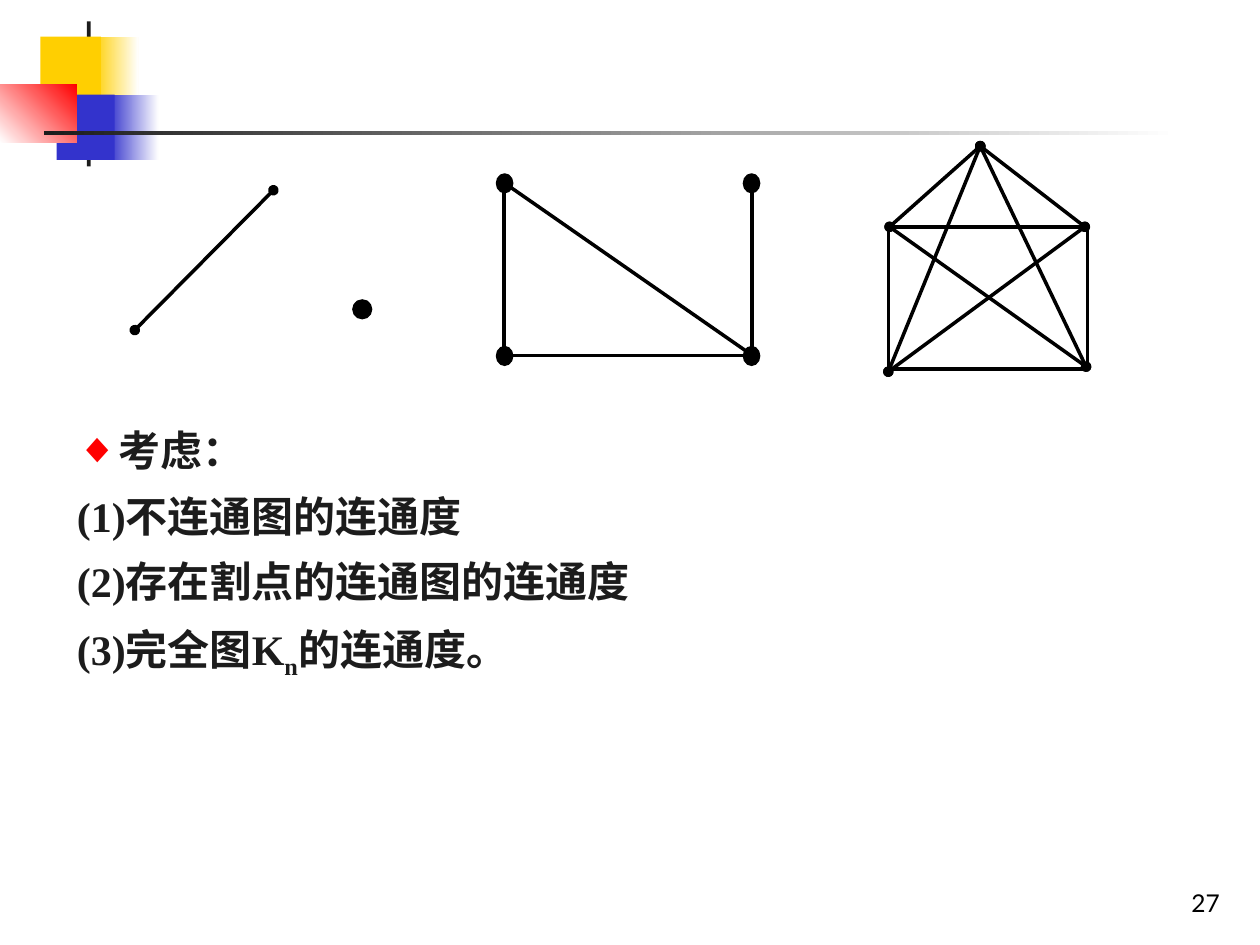
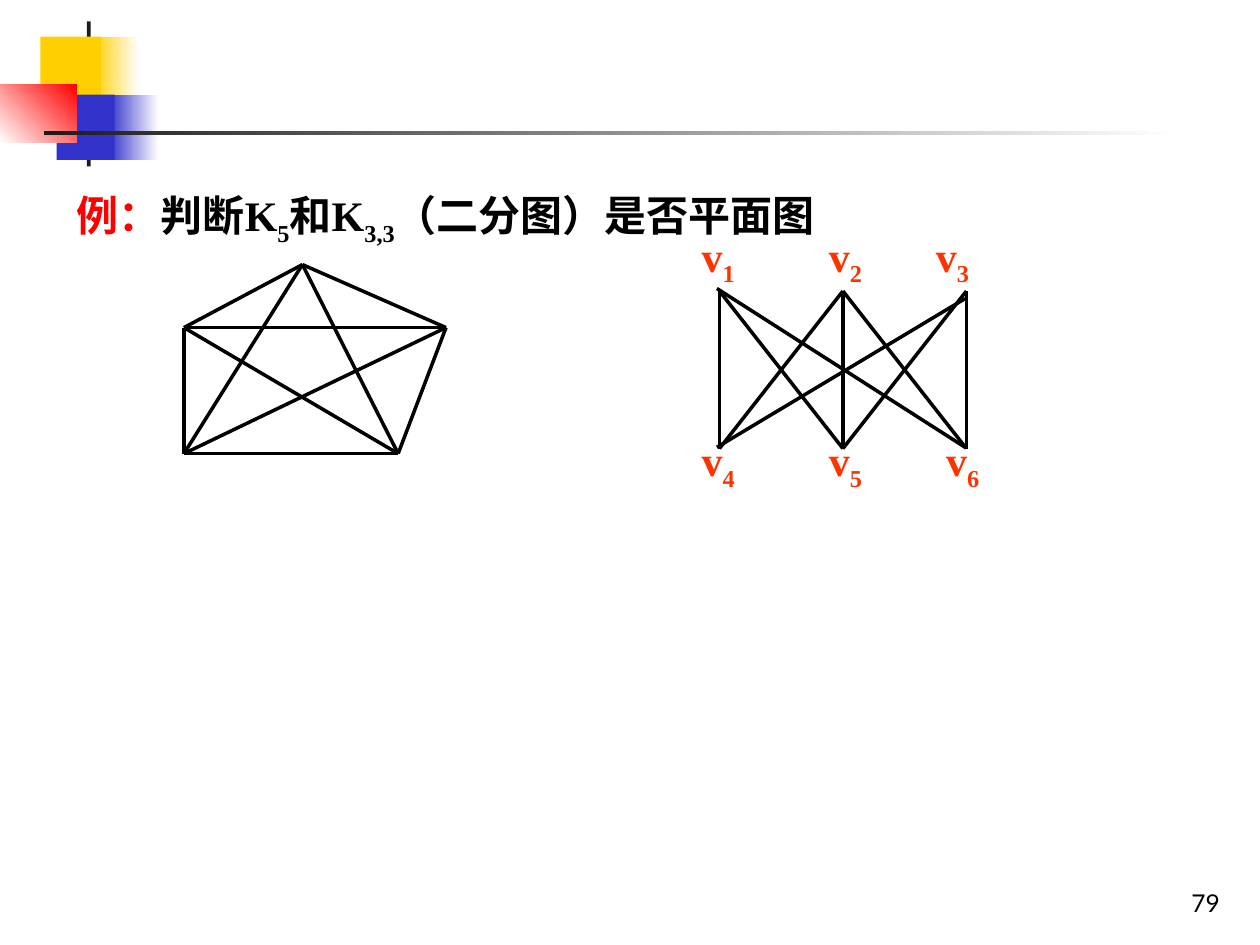
from itertools import combinations, product

from lxml.etree import SubElement
from pptx import Presentation
from pptx.dml.color import RGBColor
from pptx.enum.shapes import MSO_CONNECTOR as Connector, MSO_SHAPE as Preset
from pptx.enum.text import MSO_ANCHOR as Anchor, MSO_AUTO_SIZE as AutoSize, PP_ALIGN as Align
from pptx.oxml.ns import qn
from pptx.util import Inches, Pt

BLACK = RGBColor(0x00, 0x00, 0x00)
WHITE = RGBColor(0xFF, 0xFF, 0xFF)
CHARCOAL = RGBColor(0x1C, 0x1C, 0x1C)
YELLOW = RGBColor(0xFF, 0xCF, 0x01)
BLUE = RGBColor(0x33, 0x33, 0xCC)
RED = RGBColor(0xFF, 0x00, 0x00)
ORANGE_RED = RGBColor(0xFF, 0x33, 0x00)

# Corner blocks and title rule: left, top, width, height, colours, gradient angle
CORNER_BLOCKS = [
    (0.74, 0.29, 0.36, 0.52, (YELLOW, WHITE), 0),
    (0.86, 0.75, 0.4, 0.52, (BLUE, WHITE), 0),
    (0.69, 0.17, 0.03, 1.15, (CHARCOAL,), 0),
    (0.32, 0.29, 0.48, 0.52, (YELLOW,), 0),
    (0.45, 0.75, 0.46, 0.52, (BLUE,), 0),
    (0, 0.67, 0.61, 0.46, (WHITE, RED), 45),
    (0.35, 1.04, 9, 0.03, (CHARCOAL, WHITE), 0),
]


class Deck:
    """Holds the shared style and the slide being built."""

    text_font, number_font = "Times New Roman", "Lato"
    text_size, number_size = Pt(24), Pt(14)
    edge_width, outline_width = Pt(2), Pt(0.75)
    subscript = "-25000"

    def __init__(self):
        self.presentation = Presentation()
        self.presentation.slide_width = Inches(10)
        self.presentation.slide_height = Inches(7.5)
        self.slide = None

    def new_slide(self, number):
        self.slide = self.presentation.slides.add_slide(self.presentation.slide_layouts[1])
        title = self.slide.shapes.title
        title.element.getparent().remove(title.element)
        for left, top, width, height, colours, angle in CORNER_BLOCKS:
            self.block(left, top, width, height, colours, angle)
        frame = self.text_box(7.7, 6.83, 2.08, 0.5)
        frame.vertical_anchor = Anchor.BOTTOM
        paragraph = frame.paragraphs[0]
        paragraph.alignment = Align.RIGHT
        self.add_run(paragraph, str(number), BLACK, self.number_font, self.number_size, bold=False)

    # Shapes
    def add_preset(self, preset, left, top, width, height):
        shape = self.slide.shapes.add_shape(
            preset, Inches(left), Inches(top), Inches(width), Inches(height))
        shape.shadow.inherit = False
        return shape

    def block(self, left, top, width, height, colours, angle):
        shape = self.add_preset(Preset.RECTANGLE, left, top, width, height)
        shape.line.fill.background()
        if len(colours) == 1:
            shape.fill.solid()
            shape.fill.fore_color.rgb = colours[0]
            return
        shape.fill.gradient()
        shape.fill.gradient_angle = angle
        for stop, colour in zip(shape.fill.gradient_stops, colours):
            stop.color.rgb = colour

    def vertex(self, left, top, width, height):
        shape = self.add_preset(Preset.OVAL, left, top, width, height)
        shape.fill.solid()
        shape.fill.fore_color.rgb = BLACK
        shape.line.color.rgb = BLACK
        shape.line.width = self.outline_width

    def frame(self, left, top, width, height):
        shape = self.add_preset(Preset.RECTANGLE, left, top, width, height)
        shape.fill.background()
        shape.line.color.rgb = BLACK
        shape.line.width = self.edge_width

    def edge(self, start, end, dots=False):
        line = self.slide.shapes.add_connector(
            Connector.STRAIGHT, *(Inches(value) for value in (*start, *end)))
        line.line.color.rgb = BLACK
        line.line.width = self.edge_width
        if dots:
            outline = line.line._get_or_add_ln()
            for tag in ("a:headEnd", "a:tailEnd"):
                SubElement(outline, qn(tag), type="oval")
        SubElement(line.element.spPr, qn("a:effectLst"))

    # Text
    def text_box(self, left, top, width, height):
        box = self.slide.shapes.add_textbox(
            Inches(left), Inches(top), Inches(width), Inches(height))
        box.text_frame.word_wrap = True
        return box.text_frame

    def add_run(self, paragraph, text, colour, font=text_font, size=text_size,
                bold=True, lowered=False):
        run = paragraph.add_run()
        run.text = text
        run.font.name, run.font.size, run.font.bold = font, size, bold
        run.font.color.rgb = colour
        if lowered:
            run.font._element.set("baseline", self.subscript)

    def add_runs(self, paragraph, runs):
        """Each run is (text, colour), with a third item True for a subscript."""
        for text, colour, *lowered in runs:
            self.add_run(paragraph, text, colour, lowered=bool(lowered))

    def body(self, top, height, paragraphs, bullet_first=False):
        placeholder = self.slide.placeholders[1]
        placeholder.left, placeholder.top = Inches(0.51), Inches(top)
        placeholder.width, placeholder.height = Inches(9.05), Inches(height)
        frame = placeholder.text_frame
        frame.auto_size = AutoSize.NONE
        for index, runs in enumerate(paragraphs):
            paragraph = frame.paragraphs[0] if index == 0 else frame.add_paragraph()
            self.set_bullet(paragraph, bullet_first and index == 0)
            paragraph.line_spacing = 1.3
            paragraph.space_before = Pt(0)
            self.add_runs(paragraph, runs)

    def set_bullet(self, paragraph, shown):
        properties = paragraph._p.get_or_add_pPr()
        indent = Inches(0.33) if shown else 0
        properties.set("marL", str(indent))
        properties.set("indent", str(-indent))
        if shown:
            colour = SubElement(properties, qn("a:buClr"))
            SubElement(colour, qn("a:srgbClr"), val=str(RED))
            SubElement(properties, qn("a:buChar"), char="◆")
        else:
            SubElement(properties, qn("a:buNone"))

    def vertex_labels(self, top, numbers, tab_stops):
        paragraph = self.text_box(5.47, top, 2.67, 0.5).paragraphs[0]
        tabs = SubElement(paragraph._p.get_or_add_pPr(), qn("a:tabLst"))
        for stop in tab_stops:
            SubElement(tabs, qn("a:tab"), pos=str(Inches(stop)), algn="l")
        for index, number in enumerate(numbers):
            letter = "\tv" if index else "v"
            self.add_runs(paragraph, [(letter, ORANGE_RED), (number, ORANGE_RED, True)])


def connectivity_slide(deck):
    deck.new_slide(27)
    deck.body(3.2, 2.18, [
        [("考虑：", CHARCOAL)],
        [("(1)不连通图的连通度", CHARCOAL)],
        [("(2)存在割点的连通图的连通度", CHARCOAL)],
        [("(3)完全图K", CHARCOAL), ("n", CHARCOAL, True), ("的连通度。", CHARCOAL)],
    ], bullet_first=True)

    # Disconnected graph
    deck.edge((1.07, 2.62), (2.17, 1.51), dots=True)
    deck.vertex(2.8, 2.38, 0.15, 0.15)

    # Complete graph on five vertices
    deck.frame(7.05, 1.8, 1.58, 1.13)
    apex = (7.78, 1.16)
    upper_left, upper_right = (7.06, 1.8), (8.61, 1.8)
    lower_left, lower_right = (7.05, 2.95), (8.62, 2.91)
    for corner in (upper_right, upper_left, lower_left, lower_right):
        deck.edge(apex, corner, dots=True)
    deck.edge(upper_left, lower_right, dots=True)
    deck.edge(upper_right, lower_left, dots=True)

    # Connected graph with a cut vertex
    for left, top in product((3.94, 5.9), (1.38, 2.75)):
        deck.vertex(left, top, 0.13, 0.15)
    left, right, top, bottom = 4, 5.97, 1.45, 2.82
    deck.edge((left, top), (right, bottom))
    deck.edge((left, top), (left, bottom))
    deck.edge((right, top), (right, bottom))
    deck.edge((left, bottom), (right, bottom))


def planarity_slide(deck):
    deck.new_slide(79)
    deck.body(1.32, 0.62, [[
        ("例：", RED), ("判断K", BLACK), ("5", BLACK, True), ("和K", BLACK),
        ("3,3", BLACK, True), ("（二分图）是否平面图", BLACK),
    ]])

    # Complete bipartite graph: neighbours first, then the two long diagonals
    columns = [5.71 + 0.98 * index for index in range(3)]
    for upper, lower in product(range(3), repeat=2):
        if abs(upper - lower) < 2:
            deck.edge((columns[upper], 2.31), (columns[lower], 3.56))
    deck.edge((5.69, 2.29), (7.66, 3.55))
    deck.edge((7.66, 2.37), (5.69, 3.55))
    deck.vertex_labels(1.78, "123", (1.01, 1.86))
    deck.vertex_labels(3.4, "456", (1.01, 1.94))

    # Complete graph on five vertices
    vertices = [(2.4, 2.1), (3.54, 2.6), (3.16, 3.6), (1.46, 3.6), (1.46, 2.6)]
    for start, end in combinations(vertices, 2):
        deck.edge(start, end)


def main():
    deck = Deck()
    connectivity_slide(deck)
    planarity_slide(deck)
    deck.presentation.save("out.pptx")


if __name__ == "__main__":
    main()
